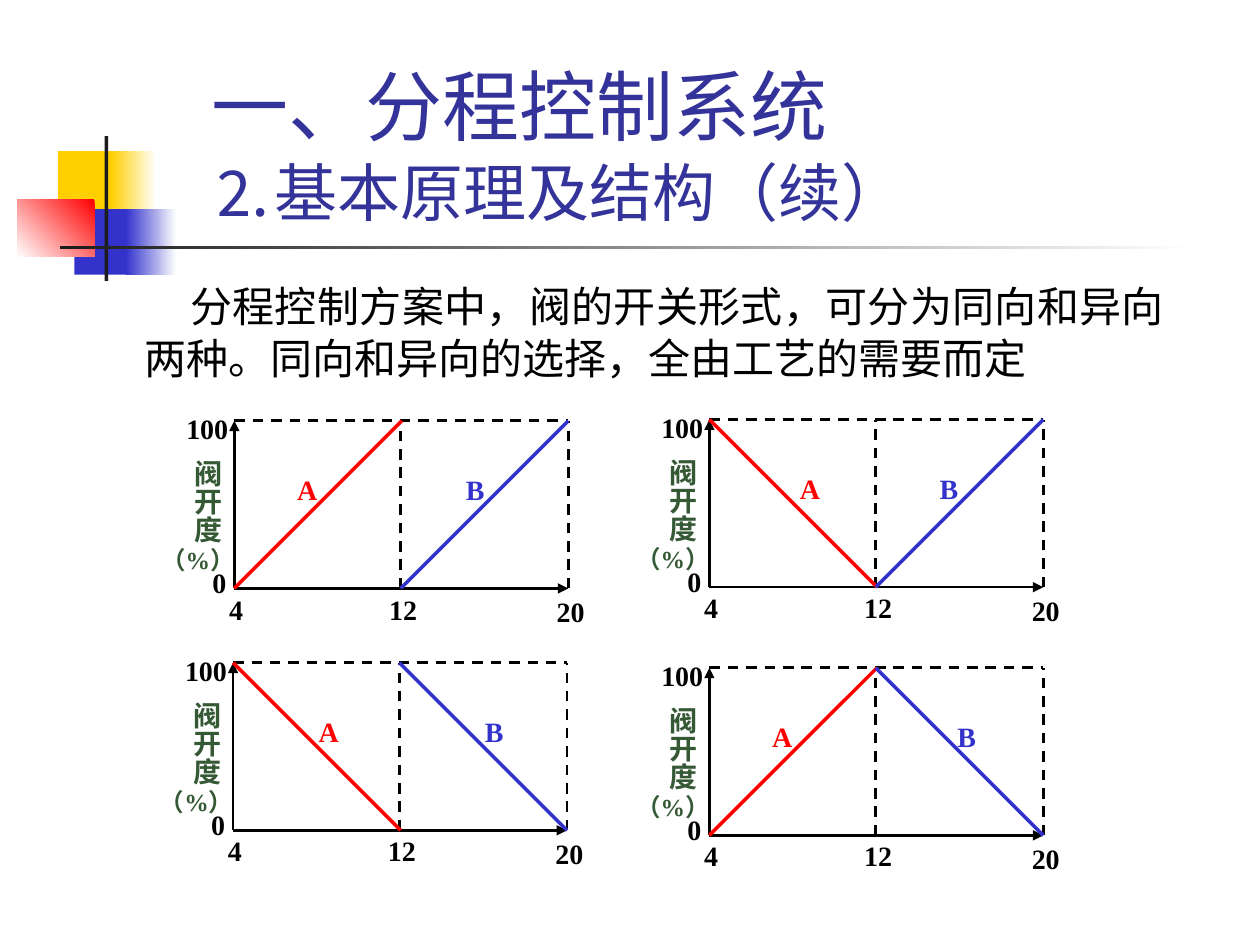
"""Build the slide on split-range control with four valve-opening diagrams."""
import pptx
import pptx.dml.color
import pptx.enum.dml
import pptx.enum.shapes
import pptx.enum.text
import pptx.oxml.ns
import pptx.util
from lxml import etree

Inches, Pt = pptx.util.Inches, pptx.util.Pt
qn = pptx.oxml.ns.qn
color = pptx.dml.color.RGBColor.from_string
PP_ALIGN = pptx.enum.text.PP_ALIGN
BLACK, DARK, RED, BLUE, GREEN = "000000", "1C1C1C", "FF0000", "3333CC", "355935"
YELLOW, WHITE, NAVY = "FFCF01", "FFFFFF", "333399"

presentation = pptx.Presentation()
presentation.slide_width, presentation.slide_height = Inches(10), Inches(7.5)
slide = presentation.slides.add_slide(presentation.slide_layouts[1])


def write(frame, text, size, ink, font="Times New Roman", bold=False,
          align=PP_ALIGN.LEFT, margins=(0.1, 0.05, 0.1, 0.05), spacing=None):
    frame.word_wrap = True
    frame.auto_size = pptx.enum.text.MSO_AUTO_SIZE.NONE
    (frame.margin_left, frame.margin_top,
     frame.margin_right, frame.margin_bottom) = map(Inches, margins)
    paragraph = frame.paragraphs[0]
    paragraph.alignment = align
    paragraph.space_before = Pt(0)
    if spacing:
        paragraph.line_spacing = Pt(spacing)
    run = paragraph.add_run()
    run.text = text
    run.font.size, run.font.bold, run.font.name = Pt(size), bold, font
    run.font.color.rgb = color(ink)
    east_asian = etree.SubElement(run.font._element, qn("a:ea"))
    east_asian.set("typeface", "Noto Sans CJK SC")
    return paragraph


def draw_line(start, end, ink=BLACK, width=1.5, dashed=False, arrow=False):
    line = slide.shapes.add_connector(
        pptx.enum.shapes.MSO_CONNECTOR.STRAIGHT,
        *map(Inches, (*start, *end)))
    line.line.color.rgb = color(ink)
    line.line.width = Pt(width)
    if dashed:
        line.line.dash_style = pptx.enum.dml.MSO_LINE.DASH
    if arrow:
        etree.SubElement(line.line._get_or_add_ln(), qn("a:tailEnd")).set("type", "triangle")
    etree.SubElement(line._element.spPr, qn("a:effectLst"))


decorations = [
    (0.46, 1.2, 0.48, 0.52, [YELLOW], 0),
    (0.88, 1.2, 0.36, 0.52, [WHITE, YELLOW], 180),
    (0.59, 1.66, 0.46, 0.52, [BLUE], 0),
    (1, 1.66, 0.4, 0.52, [WHITE, BLUE], 180),
    (0.14, 1.58, 0.61, 0.46, [RED, WHITE], 225),
    (0.83, 1.08, 0.03, 1.15, [DARK], 0),
    (0.48, 1.95, 9, 0.03, [WHITE, DARK], 180),
]
for *box, inks, angle in decorations:
    block = slide.shapes.add_shape(
        pptx.enum.shapes.MSO_SHAPE.RECTANGLE, *map(Inches, box))
    block.shadow.inherit = False
    block.line.fill.background()
    if len(inks) == 1:
        block.fill.solid()
        block.fill.fore_color.rgb = color(inks[0])
    else:
        block.fill.gradient()
        block.fill.gradient_angle = angle
        for stop, ink in zip(block.fill.gradient_stops, inks):
            stop.color.rgb = color(ink)

heading = slide.shapes.title
heading.left, heading.top, heading.width, heading.height = map(Inches, (1.58, 0.23, 5.75, 1.6))
heading.text_frame.vertical_anchor = pptx.enum.text.MSO_ANCHOR.BOTTOM
heading_style = {"ink": NAVY, "margins": (0.1, 0.05, 0.1, 0.01), "spacing": 45}
write(heading.text_frame, "一、分程控制系统", 44, font="Lato",
      **heading_style).add_line_break()
write(heading.text_frame, "⒉", 36, font="Lato", **heading_style)
write(heading.text_frame, "基本原理及结构（续）", 36, **heading_style)

summary = slide.placeholders[1]
summary.left, summary.top, summary.width, summary.height = map(Inches, (0.67, 2.08, 8.67, 1.08))
summary_paragraph = write(
    summary.text_frame,
    "分程控制方案中，阀的开关形式，可分为同向和异向两种。同向和异向的选择，全由工艺的需要而定",
    24, BLACK, font="Noto Sans CJK SC", align=PP_ALIGN.JUSTIFY,
    margins=(0.1, 0.13, 0.1, 0.05), spacing=29.7)
summary_properties = summary_paragraph._p.get_or_add_pPr()
summary_properties.set("marL", str(Inches(0.38)))
summary_properties.set("indent", str(Inches(0.36)))
etree.SubElement(summary_properties, qn("a:buNone"))

SPAN, MIDDLE, HEIGHT = 2.65, 1.32, 1.33
diagrams = [
    (1.86, 4.67, True, True, 0.4, 1.74),
    (1.85, 6.59, False, False, 0.58, 1.9),
    (5.63, 4.66, False, True, 0.62, 1.73),
    (5.63, 6.63, True, False, 0.4, 1.87),
]
for left, base, a_rises, b_rises, a_label, b_label in diagrams:
    top, middle, right = base - HEIGHT, left + MIDDLE, left + SPAN
    draw_line((left, base), (left, top), arrow=True)
    draw_line((left, base), (right, base), arrow=True)
    draw_line((left, top), (right, top), dashed=True)
    for guide in (right, middle):
        draw_line((guide, base), (guide, top), dashed=True)
    for start, rises, ink in ((left, a_rises, RED), (middle, b_rises, BLUE)):
        first, last = (base, top) if rises else (top, base)
        draw_line((start, first), (start + HEIGHT, last), ink, 2)

    labels = [
        ("100", -0.48, -1.45, 0.58, 0.37, BLACK, {}),
        ("0", -0.33, -0.23, 0.42, 0.37, BLACK, {"align": PP_ALIGN.CENTER}),
        ("阀开度", -0.49, -1.12, 0.46, 1, GREEN,
         {"font": "Lato", "margins": (0.05, 0.1, 0.05, 0.1)}),
        ("（%）", -0.68, -0.39, 0.9, 0.34, GREEN, {"size": 14}),
        ("4", -0.14, -0.02, 0.58, 0.37, BLACK, {}),
        ("12", 1.13, -0.02, 0.58, 0.37, BLACK, {}),
        ("20", 2.46, 0, 0.58, 0.37, BLACK, {}),
        ("A", a_label, -0.97, 0.33, 0.37, RED, {}),
        ("B", b_label, -0.97, 0.33, 0.37, BLUE, {}),
    ]
    for text, across, down, width, height, ink, style in labels:
        label = slide.shapes.add_textbox(
            *map(Inches, (left + across, base + down, width, height)))
        write(label.text_frame, text, ink=ink, bold=True, **{"size": 16, **style})
        if text == "阀开度":
            label.text_frame._txBody.bodyPr.set("vert", "eaVert")

presentation.save("out.pptx")
